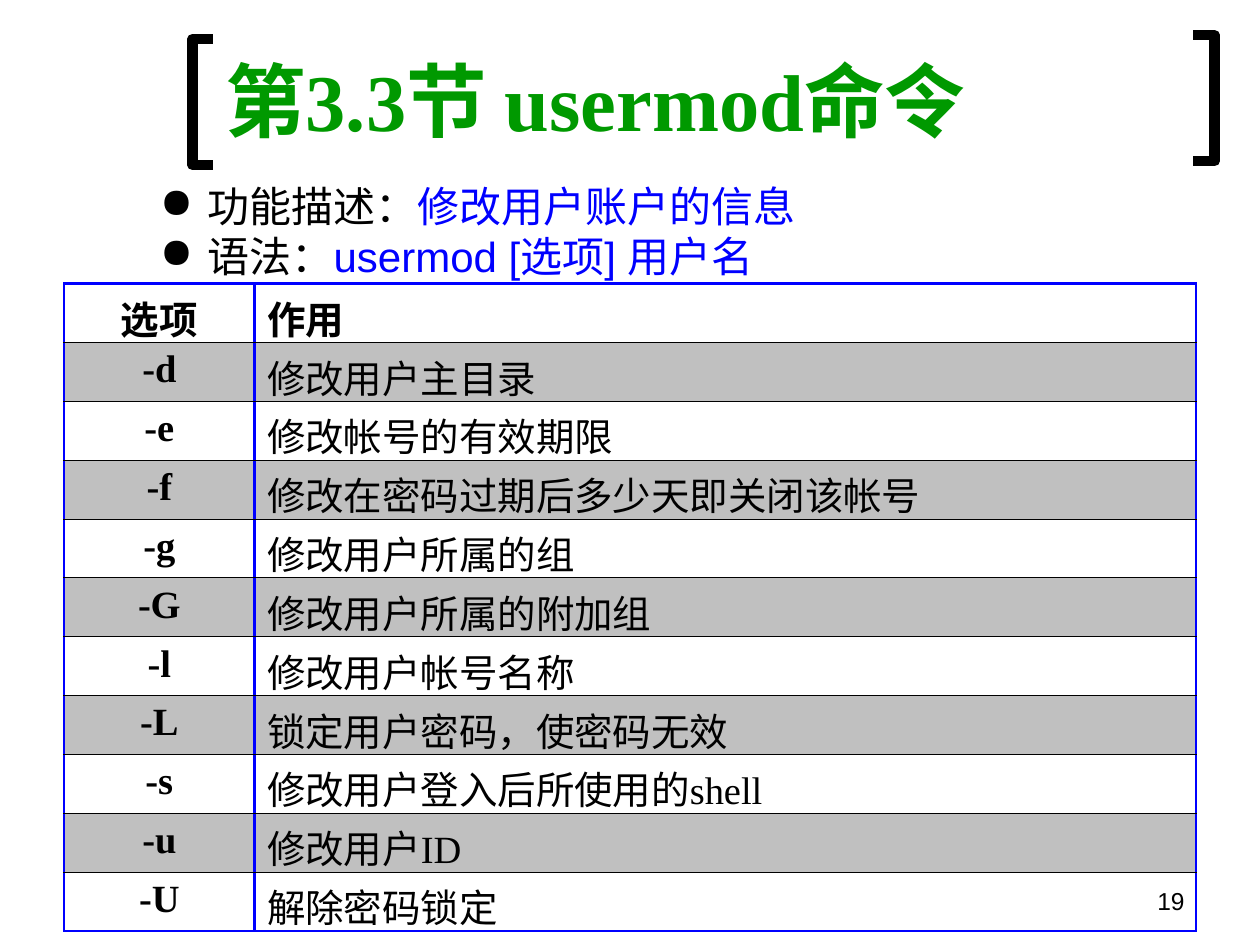
from dataclasses import dataclass

from lxml.etree import SubElement
from pptx import Presentation
from pptx.dml.color import RGBColor
from pptx.enum.text import MSO_ANCHOR as Anchor, MSO_AUTO_SIZE as AutoSize, PP_ALIGN as Align
from pptx.oxml.ns import qn
from pptx.util import Inches, Pt

BLACK = RGBColor(0x00, 0x00, 0x00)
BLUE = RGBColor(0x00, 0x00, 0xFF)
GREEN = RGBColor(0x00, 0x99, 0x00)
GRAY = RGBColor(0xC0, 0xC0, 0xC0)
SERIF = "Times New Roman"
SANS = "Arial"


@dataclass(frozen=True)
class Bracket:
    tip: float
    spine: float
    top: float
    height: float = 1.0


@dataclass(frozen=True)
class Border:
    color: RGBColor
    width: float


@dataclass(frozen=True)
class Option:
    flag: str
    effect: str


@dataclass(frozen=True)
class Bullet:
    label: str
    detail: str


FRAME = Border(BLUE, 1.47)
HEADER_RULE = Border(BLACK, 0.45)
ROW_RULE = Border(BLACK, 0.34)

BRACKETS = [Bracket(1.69, 1.53, 0.31), Bracket(9.47, 9.64, 0.28)]
BULLETS = [
    Bullet("功能描述：", "修改用户账户的信息"),
    Bullet("语法：", "usermod [选项] 用户名"),
]
OPTIONS = [
    Option("选项", "作用"),
    Option("-d", "修改用户主目录"),
    Option("-e", "修改帐号的有效期限"),
    Option("-f", "修改在密码过期后多少天即关闭该帐号"),
    Option("-g", "修改用户所属的组"),
    Option("-G", "修改用户所属的附加组"),
    Option("-l", "修改用户帐号名称"),
    Option("-L", "锁定用户密码，使密码无效"),
    Option("-s", "修改用户登入后所使用的shell"),
    Option("-u", "修改用户ID"),
    Option("-U", "解除密码锁定"),
]


def style_run(r, name: str, size: float, color: RGBColor, bold: bool = False) -> None:
    r.font.name = name
    r.font.size = Pt(size)
    r.font.color.rgb = color
    r.font.bold = bold


def add_bracket(s, bracket: Bracket) -> None:
    tip, spine = Inches(bracket.tip), Inches(bracket.spine)
    top, bottom = Inches(bracket.top), Inches(bracket.top + bracket.height)
    builder = s.shapes.build_freeform(tip, bottom)
    builder.add_line_segments([(spine, bottom), (spine, top), (tip, top)], close=False)
    sp = builder.convert_to_shape()
    sp.shadow.inherit = False
    sp.fill.background()
    sp.line.color.rgb = BLACK
    sp.line.width = Pt(6)


def add_text_frame(s, left: float, top: float, width: float, height: float, anchor: Anchor):
    sp = s.shapes.add_textbox(Inches(left), Inches(top), Inches(width), Inches(height))
    tf = sp.text_frame
    tf.word_wrap = True
    tf.vertical_anchor = anchor
    return tf


def add_bullets(s) -> None:
    tf = add_text_frame(s, 0.67, 1.38, 8.66, 0.9, Anchor.MIDDLE)
    tf.auto_size = AutoSize.SHAPE_TO_FIT_TEXT
    for i, bullet in enumerate(BULLETS):
        p = tf.paragraphs[0] if i == 0 else tf.add_paragraph()
        p.level = 1
        pPr = p._p.get_or_add_pPr()
        pPr.set("marL", str(Inches(0.88)))
        pPr.set("indent", str(Inches(-0.38)))
        bu_color = SubElement(pPr, qn("a:buClr"))
        SubElement(bu_color, qn("a:srgbClr"), val=str(BLACK))
        SubElement(pPr, qn("a:buChar"), char="●")
        for text, color in ((bullet.label, BLACK), (bullet.detail, BLUE)):
            r = p.add_run()
            r.text = text
            style_run(r, SANS, 24, color)


def set_border(cell, side: str, border: Border) -> None:
    tcPr = cell._tc.get_or_add_tcPr()
    ln = SubElement(tcPr, qn(f"a:ln{side}"), w=str(Pt(border.width)))
    fill = SubElement(ln, qn("a:solidFill"))
    SubElement(fill, qn("a:srgbClr"), val=str(border.color))


def rule_below(row: int) -> Border:
    if row in (-1, len(OPTIONS) - 1):
        return FRAME
    return HEADER_RULE if row == 0 else ROW_RULE


def fill_cell(cell, text: str, row: int, col: int) -> None:
    borders = {"L": FRAME, "R": FRAME, "T": rule_below(row - 1), "B": rule_below(row)}
    for side, border in borders.items():
        set_border(cell, side, border)
    if row % 2:
        cell.fill.solid()
        cell.fill.fore_color.rgb = GRAY
    else:
        cell.fill.background()
    p = cell.text_frame.paragraphs[0]
    p.text = text
    p.alignment = Align.CENTER if col == 0 else Align.LEFT
    style_run(p.runs[0], SERIF, 22, BLACK, bold=row == 0 or col == 0)


def add_option_table(s) -> None:
    widths = (1.51, 7.47)
    height = 5.13
    table = s.shapes.add_table(
        len(OPTIONS), len(widths), Inches(0.51), Inches(2.25), Inches(sum(widths)), Inches(height)
    ).table
    table.first_row = False
    table.horz_banding = False
    for column, width in zip(table.columns, widths):
        column.width = Inches(width)
    for row, option in enumerate(OPTIONS):
        table.rows[row].height = Inches(height / len(OPTIONS))
        for col, text in enumerate((option.flag, option.effect)):
            fill_cell(table.cell(row, col), text, row, col)


def main() -> None:
    prs = Presentation()
    prs.slide_width, prs.slide_height = Inches(10), Inches(7.5)
    s = prs.slides.add_slide(prs.slide_layouts[6])

    for bracket in BRACKETS:
        add_bracket(s, bracket)

    number = add_text_frame(s, 7.17, 6.98, 2.33, 0.52, Anchor.TOP)
    number.text = "19"
    number.paragraphs[0].alignment = Align.RIGHT
    style_run(number.paragraphs[0].runs[0], SANS, 14, BLACK)

    title = add_text_frame(s, 1.69, 0.25, 9, 1.08, Anchor.MIDDLE)
    title.text = "第3.3节 usermod命令"
    style_run(title.paragraphs[0].runs[0], SERIF, 46, GREEN, bold=True)

    add_bullets(s)
    add_option_table(s)
    prs.save("out.pptx")


if __name__ == "__main__":
    main()
